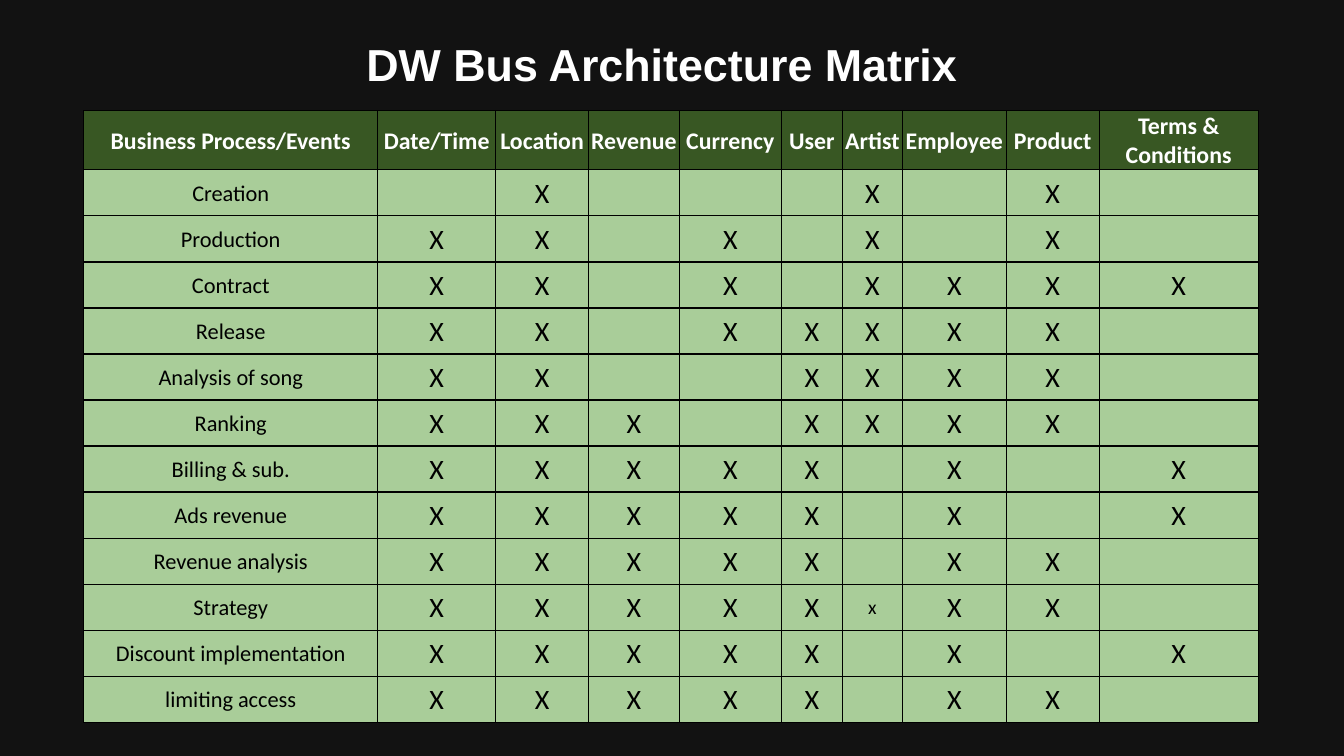
from lxml import etree
from pptx import Presentation
from pptx import util as u
from pptx.dml.color import RGBColor
from pptx.enum import text
from pptx.oxml import ns


def style(font, **values):
    font.color.rgb = RGBColor.from_string(values.pop("color"))
    for name, value in values.items():
        setattr(font, name, value)


def add_border(cell, side, color):
    props = cell._tc.get_or_add_tcPr()
    line = etree.SubElement(props, ns.qn("a:" + side), w=str(u.Pt(1)))
    fill = etree.SubElement(line, ns.qn("a:solidFill"))
    etree.SubElement(fill, ns.qn("a:srgbClr"), val=color)


dimensions = ["Business Process/Events", "Date/Time", "Location", "Revenue", "Currency",
              "User", "Artist", "Employee", "Product", "Terms & Conditions"]
processes = {
    "Creation": ".X...X.X.",
    "Production": "XX.X.X.X.",
    "Contract": "XX.X.XXXX",
    "Release": "XX.XXXXX.",
    "Analysis of song": "XX..XXXX.",
    "Ranking": "XXX.XXXX.",
    "Billing & sub.": "XXXXX.X.X",
    "Ads revenue": "XXXXX.X.X",
    "Revenue analysis": "XXXXX.XX.",
    "Strategy": "XXXXXxXX.",
    "Discount implementation": "XXXXX.X.X",
    "limiting access": "XXXXX.XX.",
}
column_widths = [7.41, 2.97, 2.34, 2.29, 2.57, 1.54, 1.51, 2.62, 2.34, 4.01]
header_height, process_height = 1.49, 1.16
mark_sizes = {"X": 20, "x": 14}

deck = Presentation()
deck.slide_width, deck.slide_height = u.Cm(33.87), u.Cm(19.05)
slide = deck.slides.add_slide(deck.slide_layouts[6])
slide.background.fill.solid()
slide.background.fill.fore_color.rgb = RGBColor.from_string("121212")

heading = slide.shapes.add_textbox(u.Cm(1.24), u.Cm(0.61), u.Cm(30.89), u.Cm(2.49)).text_frame
heading_format = {"word_wrap": True, "vertical_anchor": text.MSO_ANCHOR.MIDDLE,
                  "margin_bottom": u.Cm(0.61)}
for name, value in heading_format.items():
    setattr(heading, name, value)
heading.text = "DW Bus Architecture Matrix"
heading.paragraphs[0].alignment = text.PP_ALIGN.CENTER
style(heading.paragraphs[0].font, name="Arial", size=u.Pt(32), bold=True, color="FFFFFF")

rows = [dimensions] + [[process, *marks.replace(".", " ")] for process, marks in processes.items()]
matrix = slide.shapes.add_table(
    len(rows), len(dimensions), u.Cm(2.11), u.Cm(2.79), u.Cm(sum(column_widths)),
    u.Cm(header_height + process_height * len(processes))).table
matrix.horz_banding = False
for column, width in zip(matrix.columns, column_widths):
    column.width = u.Cm(width)

cell_format = {"vertical_anchor": text.MSO_ANCHOR.MIDDLE, "margin_left": u.Cm(0.03),
               "margin_right": u.Cm(0.03), "margin_top": u.Cm(0.03), "margin_bottom": 0}
for r, row in enumerate(rows):
    is_header = r == 0
    matrix.rows[r].height = u.Cm(header_height if is_header else process_height)
    for c, entry in enumerate(row):
        cell = matrix.cell(r, c)
        for name, value in cell_format.items():
            setattr(cell, name, value)
        for side in ("lnL", "lnR", "lnT", "lnB"):
            add_border(cell, side, "000000")
        cell.fill.solid()
        cell.fill.fore_color.rgb = RGBColor.from_string("385723" if is_header else "A9CD99")
        cell.text = entry.strip()
        label = cell.text_frame.paragraphs[0]
        label.alignment = text.PP_ALIGN.CENTER
        size = 17 if is_header else mark_sizes.get(entry, 16)
        style(label.font, name="Calibri", size=u.Pt(size), bold=is_header,
              color="FFFFFF" if is_header else "000000")

deck.save("out.pptx")
